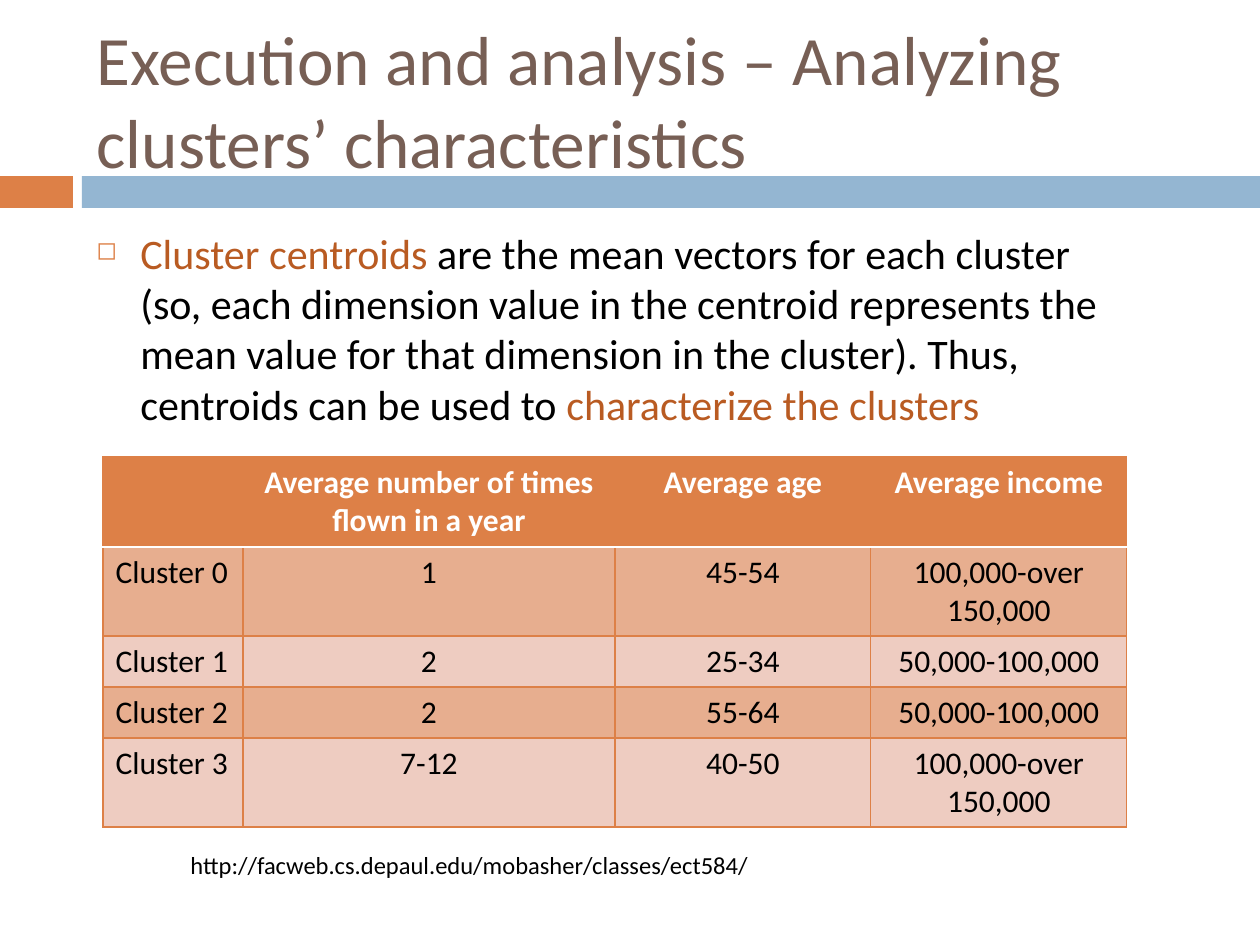
import pptx
import pptx.util
import pptx.dml.color
import pptx.enum.shapes
import pptx.enum.text
import pptx.oxml
import pptx.oxml.ns

PX = 914400 // 126
FONT = "Calibri"
ORANGE, BLUE, BROWN, RUST = "DD8047", "94B6D2", "775F55", "B95B22"
BLACK, WHITE = "000000", "FFFFFF"
ROW_FILLS = ("E7AE8F", "EECCC1")

TITLE = "Execution and analysis – Analyzing clusters’ characteristics"
BODY = [
    ("Cluster centroids ", RUST),
    ("are the mean vectors for each cluster (so, each dimension value in the "
     "centroid represents the mean value for that dimension in the cluster). "
     "Thus, centroids can be used to ", BLACK),
    ("characterize the clusters", RUST),
]
TABLE = [
    ("", "Average number of times flown in a year", "Average age", "Average income"),
    ("Cluster 0", "1", "45-54", "100,000-over 150,000"),
    ("Cluster 1", "2", "25-34", "50,000-100,000"),
    ("Cluster 2", "2", "55-64", "50,000-100,000"),
    ("Cluster 3", "7-12", "40-50", "100,000-over 150,000"),
]
COLUMN_WIDTHS = (140, 372, 256, 256)
ROW_HEIGHTS = (90, 89, 51, 51, 89)
SOURCE = "http://facweb.cs.depaul.edu/mobasher/classes/ect584/"
BANDS = [((0, 176, 73, 32), ORANGE), ((82, 176, 1178, 32), BLUE)]


def px(*lengths):
    return [length * PX for length in lengths]


def color(value):
    return pptx.dml.color.RGBColor.from_string(value)


def set_font(font, size, value, bold=False):
    font.name, font.size, font.bold = FONT, pptx.util.Pt(size), bold
    font.color.rgb = color(value)


def add_bullet(paragraph):
    properties = paragraph._p.get_or_add_pPr()
    properties.set("marL", str(44 * PX))
    properties.set("indent", str(-44 * PX))
    namespace = pptx.oxml.ns.nsdecls("a")
    for xml in (f'<a:buClr {namespace}><a:srgbClr val="{ORANGE}"/></a:buClr>',
                f'<a:buSzPct {namespace} val="60000"/>',
                f'<a:buChar {namespace} char="◻"/>'):
        properties.append(pptx.oxml.parse_xml(xml))


def add_border(cell, side, value, points):
    cell._tc.get_or_add_tcPr().append(pptx.oxml.parse_xml(
        f'<a:ln{side} {pptx.oxml.ns.nsdecls("a")} w="{int(points * 12700)}">'
        f'<a:solidFill><a:srgbClr val="{value}"/></a:solidFill></a:ln{side}>'))


def add_cluster_table(slide):
    table = slide.shapes.add_table(
        len(TABLE), len(COLUMN_WIDTHS),
        *px(103, 457, sum(COLUMN_WIDTHS), sum(ROW_HEIGHTS))).table
    for column, width in zip(table.columns, COLUMN_WIDTHS):
        column.width = width * PX
    for row, height in zip(table.rows, ROW_HEIGHTS):
        row.height = height * PX
    white_edges = {(0, "B"), (1, "T")}
    for r, values in enumerate(TABLE):
        for c, value in enumerate(values):
            cell = table.cell(r, c)
            for side in "LRTB":
                edge = (WHITE, 1.5) if (r, side) in white_edges else (ORANGE, 0.79)
                add_border(cell, side, *edge)
            cell.fill.solid()
            cell.fill.fore_color.rgb = color(ROW_FILLS[(r - 1) % 2] if r else ORANGE)
            cell.text = value
            paragraph = cell.text_frame.paragraphs[0]
            if c:
                paragraph.alignment = pptx.enum.text.PP_ALIGN.CENTER
            set_font(paragraph.font, 18, BLACK if r else WHITE, bold=r == 0)


def main():
    presentation = pptx.Presentation()
    presentation.slide_width, presentation.slide_height = px(1260, 945)
    slide = presentation.slides.add_slide(presentation.slide_layouts[5])

    title = slide.shapes.title
    title.left, title.top, title.width, title.height = px(84, 31, 1124, 136)
    frame = title.text_frame
    frame.text = TITLE
    frame.auto_size = pptx.enum.text.MSO_AUTO_SIZE.NONE
    frame.vertical_anchor = pptx.enum.text.MSO_ANCHOR.MIDDLE
    frame.paragraphs[0].alignment = pptx.enum.text.PP_ALIGN.LEFT
    set_font(frame.paragraphs[0].font, 39.6, BROWN)

    for place, value in BANDS:
        band = slide.shapes.add_shape(
            pptx.enum.shapes.MSO_SHAPE.RECTANGLE, *px(*place))
        band.shadow.inherit = False
        band.fill.solid()
        band.fill.fore_color.rgb = color(value)
        band.line.fill.background()
        # Bands lie behind the title
        title._element.addprevious(band._element)

    body = slide.shapes.add_textbox(*px(84, 221, 1064, 620)).text_frame
    body.word_wrap = True
    paragraph = body.paragraphs[0]
    add_bullet(paragraph)
    for text, value in BODY:
        run = paragraph.add_run()
        run.text = text
        set_font(run.font, 24, value)

    add_cluster_table(slide)

    source = slide.shapes.add_textbox(*px(178, 844, 587, 43)).text_frame
    source.word_wrap = False
    source.text = SOURCE
    set_font(source.paragraphs[0].font, 14, BLACK)

    presentation.save("out.pptx")


if __name__ == "__main__":
    main()
